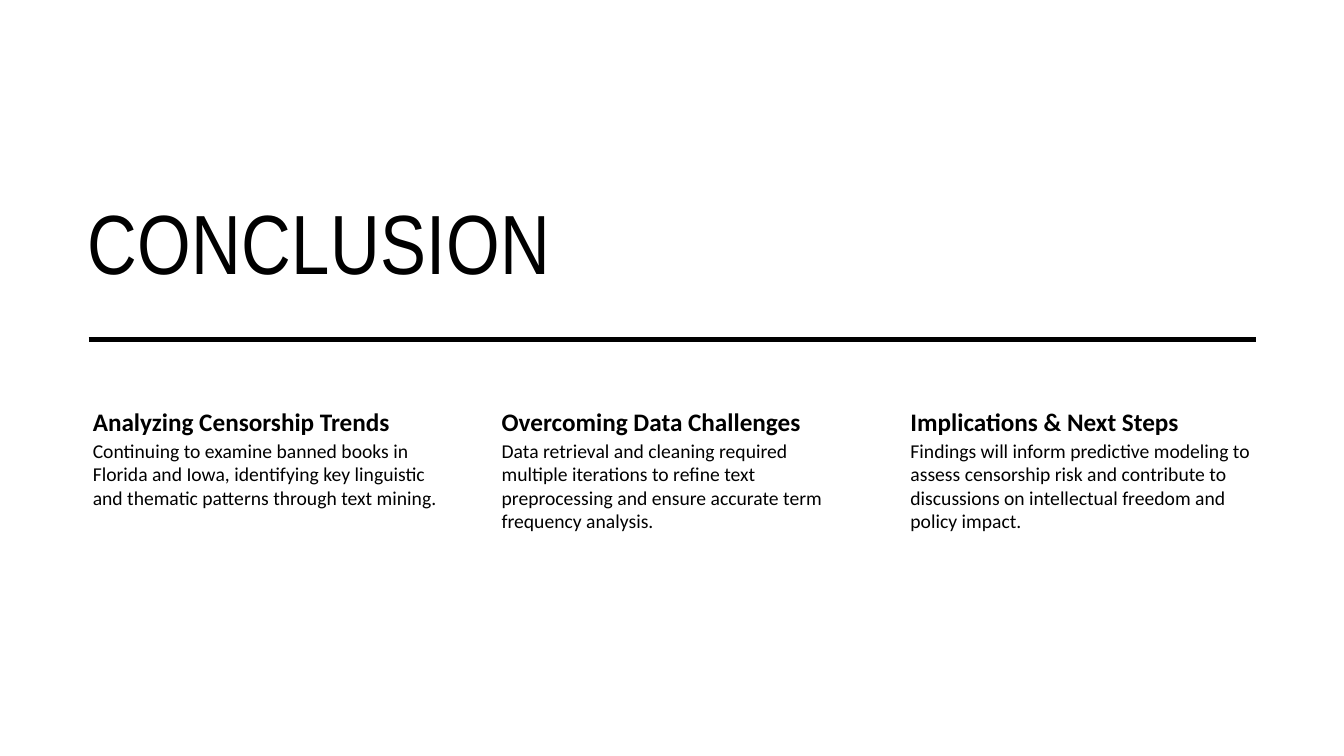
from dataclasses import dataclass

from lxml.etree import SubElement
from pptx import Presentation
from pptx.dml.color import RGBColor
from pptx.enum.shapes import MSO_CONNECTOR as Connector
from pptx.enum.text import MSO_ANCHOR as Anchor
from pptx.oxml.ns import qn
from pptx.util import Inches, Pt


@dataclass(frozen=True)
class Theme:
    ink: RGBColor = RGBColor(0, 0, 0)
    paper: RGBColor = RGBColor(255, 255, 255)
    title_font: str = "Arial Narrow"
    body_font: str = "Calibri"
    title_size: float = 60
    heading_size: float = 18
    body_size: float = 14
    rule_width: float = 3.5
    title_tracking: str = "30"
    body_spacing: float = 0.98


THEME = Theme()

TAKEAWAYS = [
    ("Analyzing Censorship Trends",
     "Continuing to examine banned books in Florida and Iowa, identifying key "
     "linguistic and thematic patterns through text mining."),
    ("Overcoming Data Challenges",
     "Data retrieval and cleaning required multiple iterations to refine text "
     "preprocessing and ensure accurate term frequency analysis."),
    ("Implications & Next Steps",
     "Findings will inform predictive modeling to assess censorship risk and "
     "contribute to discussions on intellectual freedom and policy impact."),
]


def add_text(slide, box, text, font, size, insets, bold=False, anchor=Anchor.TOP):
    shape = slide.shapes.add_textbox(*map(Inches, box))
    frame = shape.text_frame
    frame.word_wrap = True
    frame.vertical_anchor = anchor
    (frame.margin_left, frame.margin_top,
     frame.margin_right, frame.margin_bottom) = map(Inches, insets)
    paragraph = frame.paragraphs[0]
    paragraph.text = text
    paragraph.font.name = font
    paragraph.font.size = Pt(size)
    paragraph.font.bold = bold
    paragraph.font.color.rgb = THEME.ink
    return paragraph


def add_title(slide, box, text):
    paragraph = add_text(slide, box, text, THEME.title_font, THEME.title_size,
                         (0.1, 0.05, 0.1, 0.05), anchor=Anchor.BOTTOM)
    properties = paragraph.runs[0]._r.get_or_add_rPr()
    properties.set("spc", THEME.title_tracking)


def add_rule(slide, left, top, width):
    rule = slide.shapes.add_connector(
        Connector.STRAIGHT, Inches(left), Inches(top), Inches(left + width), Inches(top))
    rule.line.color.rgb = THEME.ink
    rule.line.width = Pt(THEME.rule_width)
    SubElement(rule._element.spPr, qn("a:effectLst"))


def add_takeaway(slide, box, heading, body):
    left, top, width, height = box
    heading_height = 0.35
    add_text(slide, (left, top, width, heading_height), heading, THEME.body_font,
             THEME.heading_size, (0.15, 0.03, 0.03, 0.03), bold=True)
    paragraph = add_text(
        slide, (left, top + heading_height, width, height - heading_height), body,
        THEME.body_font, THEME.body_size, (0.15, 0.02, 0.02, 0.02))
    paragraph.line_spacing = THEME.body_spacing


def add_takeaways(slide, box, takeaways):
    left, top, width, height = box
    column_width = 3.69
    pitch = (width - column_width) / (len(takeaways) - 1)
    for index, (heading, body) in enumerate(takeaways):
        add_takeaway(slide, (left + index * pitch, top, column_width, height),
                     heading, body)


def main():
    presentation = Presentation()
    presentation.slide_width = Inches(13.33)
    presentation.slide_height = Inches(7.5)
    slide = presentation.slides.add_slide(presentation.slide_layouts[6])
    slide.background.fill.solid()
    slide.background.fill.fore_color.rgb = THEME.paper
    add_title(slide, (0.77, 1.4, 8.74, 1.54), "CONCLUSION")
    add_takeaways(slide, (0.77, 4, 11.8, 2.69), TAKEAWAYS)
    add_rule(slide, 0.88, 3.37, 11.58)
    presentation.save("out.pptx")


if __name__ == "__main__":
    main()
